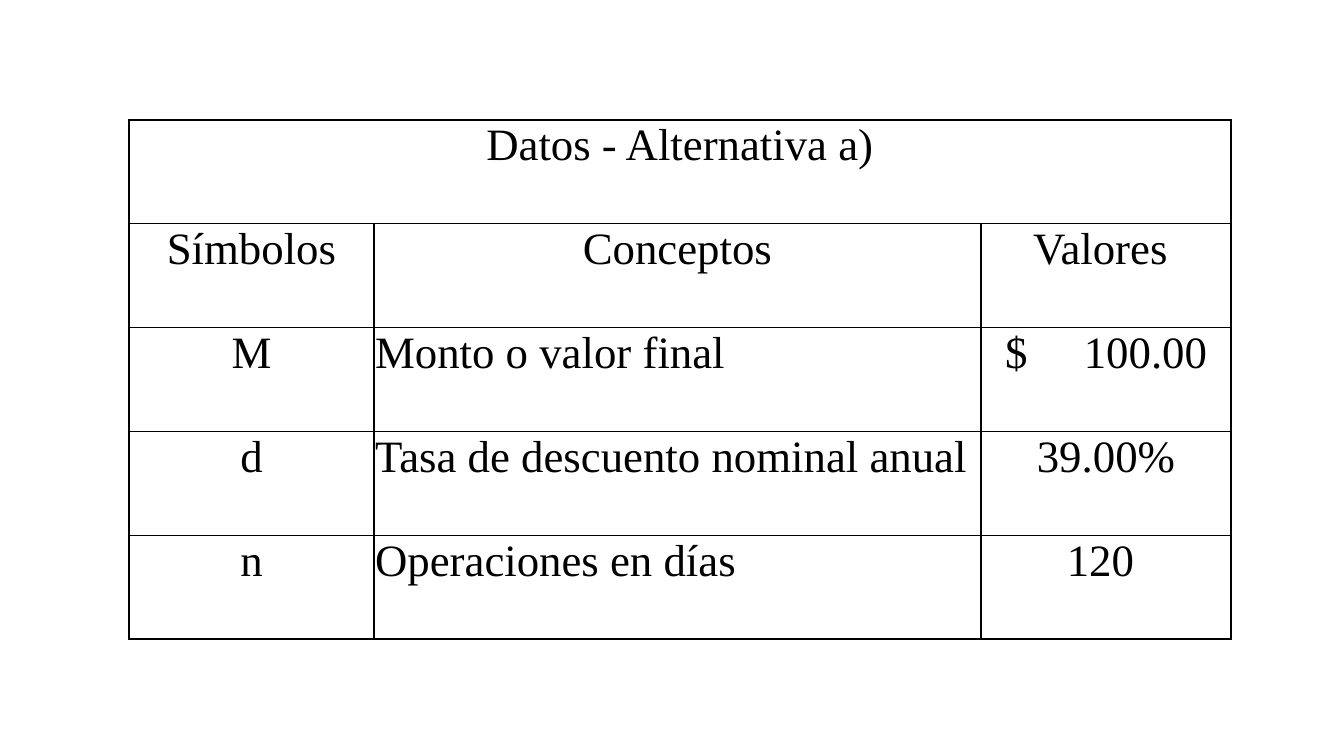
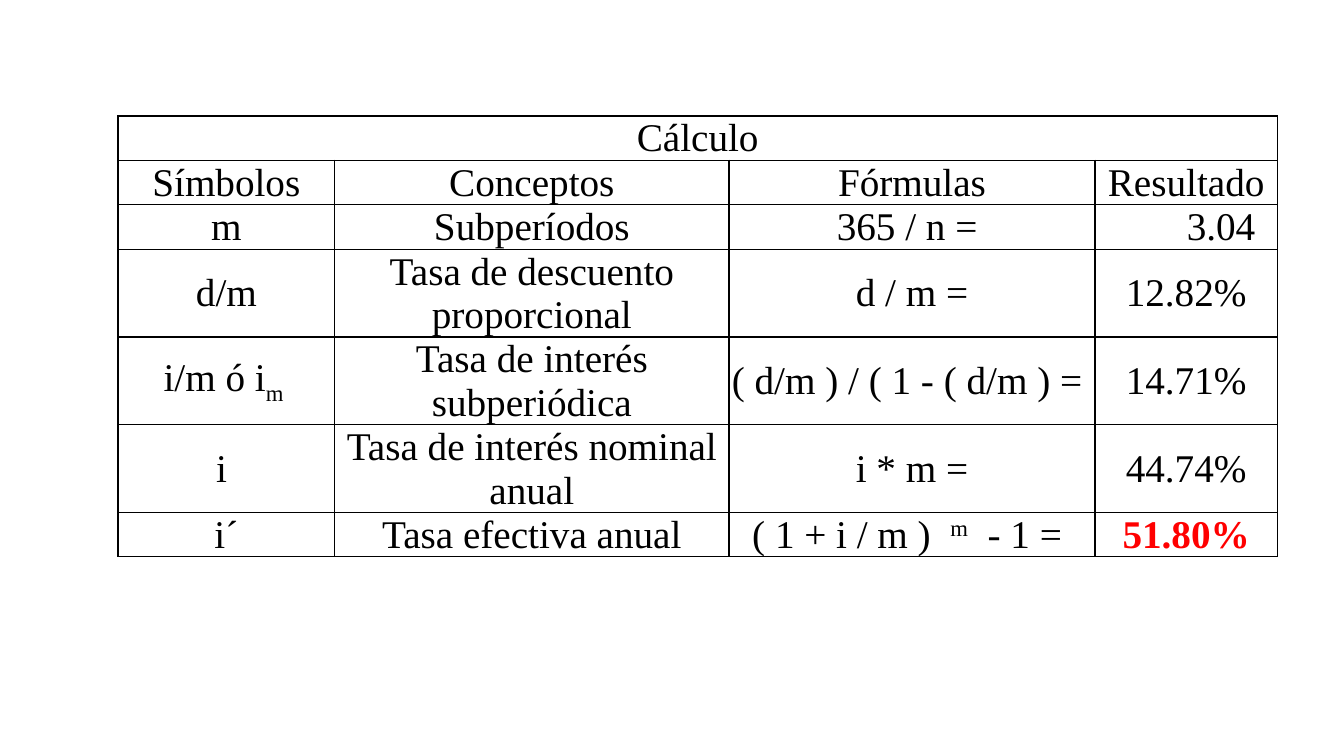
import pptx
import pptx.dml.color
import pptx.enum.text
import pptx.util
from pptx.oxml import parse_xml
from pptx.oxml.ns import nsdecls

Inches = pptx.util.Inches
Pt = pptx.util.Pt
Anchor = pptx.enum.text.MSO_ANCHOR
Align = pptx.enum.text.PP_ALIGN

COLORS = {"ink": "000000", "result": "FF0000", "paper": "FFFFFF"}
FONT = "Times New Roman"
ALIGNS = {"l": Align.LEFT, "c": Align.CENTER, "r": Align.RIGHT}


def rgb(name):
    return pptx.dml.color.RGBColor.from_string(COLORS[name])


def write(frame, text, size=28, align="c", color="ink", bold=False, tab=None):
    """Fill a frame; text is a string or a list of (string, baseline percent)."""
    para = frame.paragraphs[0]
    para.alignment = ALIGNS[align]
    if tab is not None:
        para._p.get_or_add_pPr().append(parse_xml(
            f'<a:tabLst {nsdecls("a")}><a:tab pos="{Inches(tab)}" algn="l"/></a:tabLst>'))
    parts = [(text, 0)] if isinstance(text, str) else text
    for part, base in parts:
        run = para.add_run()
        run.text = part
        run.font.name = FONT
        run.font.size = Pt(size)
        run.font.bold = bold
        run.font.color.rgb = rgb(color)
        if base:
            run._r.get_or_add_rPr().set("baseline", str(base * 1000))


class Deck:
    def __init__(self):
        self.show = pptx.Presentation()
        self.show.slide_width = Inches(13.33)
        self.show.slide_height = Inches(7.5)
        self.slide = None

    def page(self):
        self.slide = self.show.slides.add_slide(self.show.slide_layouts[6])
        fill = self.slide.background.fill
        fill.solid()
        fill.fore_color.rgb = rgb("paper")

    def border(self, cell):
        props = cell._tc.get_or_add_tcPr()
        for side in "LRTB":
            props.append(parse_xml(
                f'<a:ln{side} {nsdecls("a")} w="{Pt(1)}"><a:solidFill>'
                f'<a:srgbClr val="{COLORS["ink"]}"/></a:solidFill></a:ln{side}>'))

    def cell(self, cell, text, anchor, left=0.01, right=0.01, **style):
        cell.margin_left, cell.margin_right = Inches(left), Inches(right)
        cell.margin_top, cell.margin_bottom = Inches(0.01), 0
        cell.vertical_anchor = anchor
        write(cell.text_frame, text, **style)

    def table(self, left, top, widths, heights, title, rows,
              size=28, aligns="cccc", anchor=Anchor.MIDDLE):
        """Title row across all columns, a centred heading row, then the data."""
        frame = self.slide.shapes.add_table(
            len(heights), len(widths), Inches(left), Inches(top),
            Inches(sum(widths)), Inches(sum(heights)))
        grid = frame.table
        grid.first_row = grid.horz_banding = False
        for col, width in zip(grid.columns, widths):
            col.width = Inches(width)
        for row, height in zip(grid.rows, heights):
            row.height = Inches(height)
        for cell in grid.iter_cells():
            self.border(cell)
            cell.fill.background()

        # Title and body
        grid.cell(0, 0).merge(grid.cell(0, len(widths) - 1))
        self.cell(grid.cell(0, 0), title, anchor, size=size)
        for r, row in enumerate(rows, 1):
            for c, item in enumerate(row):
                style = {"size": size, "align": "c" if r == 1 else aligns[c]}
                style.update(item if isinstance(item, dict) else {"text": item})
                self.cell(grid.cell(r, c), anchor=anchor, **style)


def main():
    deck = Deck()

    # Given data
    deck.page()
    amount = {"text": "$\t100.00", "align": "l", "left": 0.24, "tab": 0.78}
    deck.table(1.28, 1.19, [2.43, 6.02, 2.48], [1.03] * 5,
               "Datos - Alternativa a)", [
                   ["Símbolos", "Conceptos", "Valores "],
                   ["M", "Monto o valor final", amount],
                   ["d", "Tasa de descuento nominal anual", "39.00%"],
                   ["n", "Operaciones en días", "120 "],
               ], size=32, aligns="clc", anchor=Anchor.TOP)

    # Calculation
    deck.page()
    line, pair = 0.44, 0.87
    count = {"text": "3.04", "align": "r", "right": 0.22}
    rate = {"text": "51.80%", "color": "result", "bold": True}
    deck.table(1.17, 1.15, [2.15, 3.91, 3.63, 1.81],
               [line] * 3 + [pair] * 3 + [line], "Cálculo", [
                   ["Símbolos", "Conceptos", "Fórmulas", "Resultado"],
                   ["m", "Subperíodos", "365 / n = ", count],
                   ["d/m", "Tasa de descuento proporcional", "d / m =", "12.82%"],
                   [[("i/m ó i", 0), ("m ", -25)], "Tasa de interés subperiódica",
                    "( d/m ) / ( 1 - ( d/m ) = ", "14.71%"],
                   ["i ", "Tasa de interés nominal anual", "i * m =", "44.74%"],
                   ["i´", "Tasa efectiva anual",
                    [("( 1 + i / m )  ", 0), ("m", 30), ("  - 1 = ", 0)], rate],
               ])

    deck.show.save("out.pptx")


if __name__ == "__main__":
    main()
